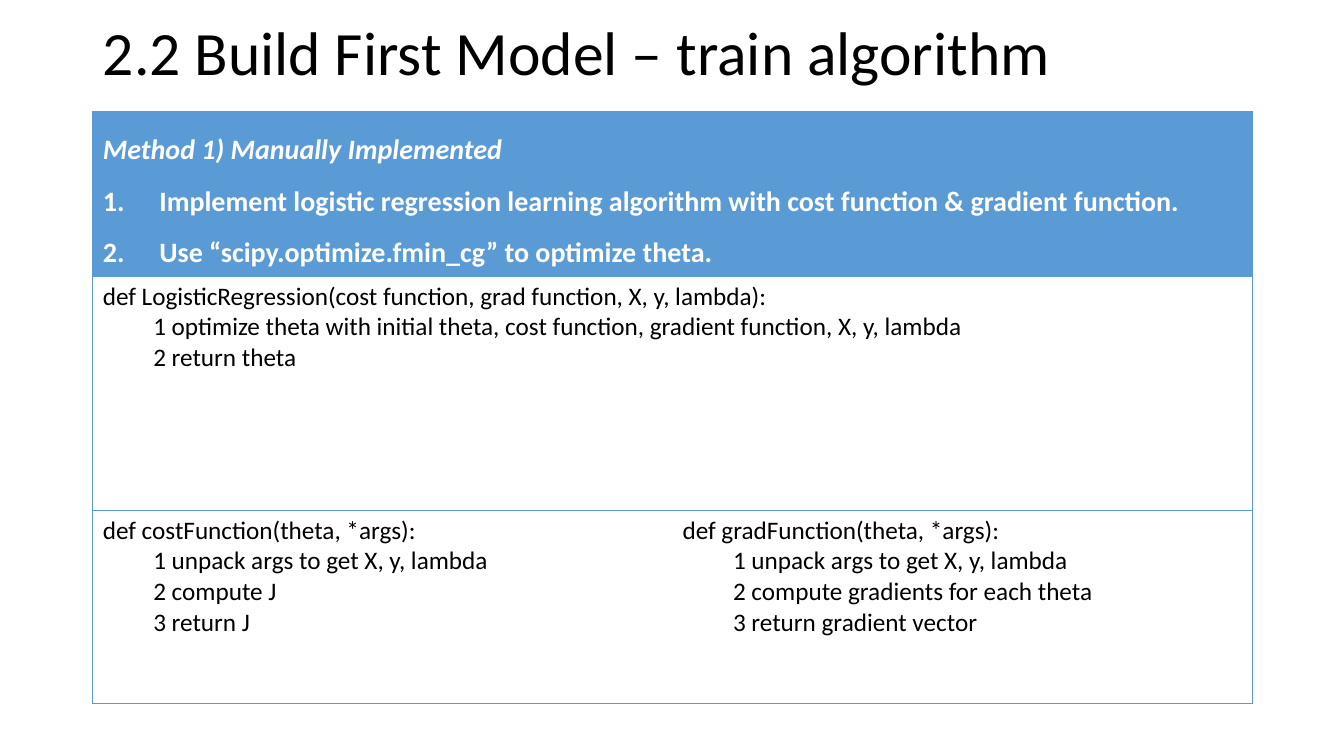
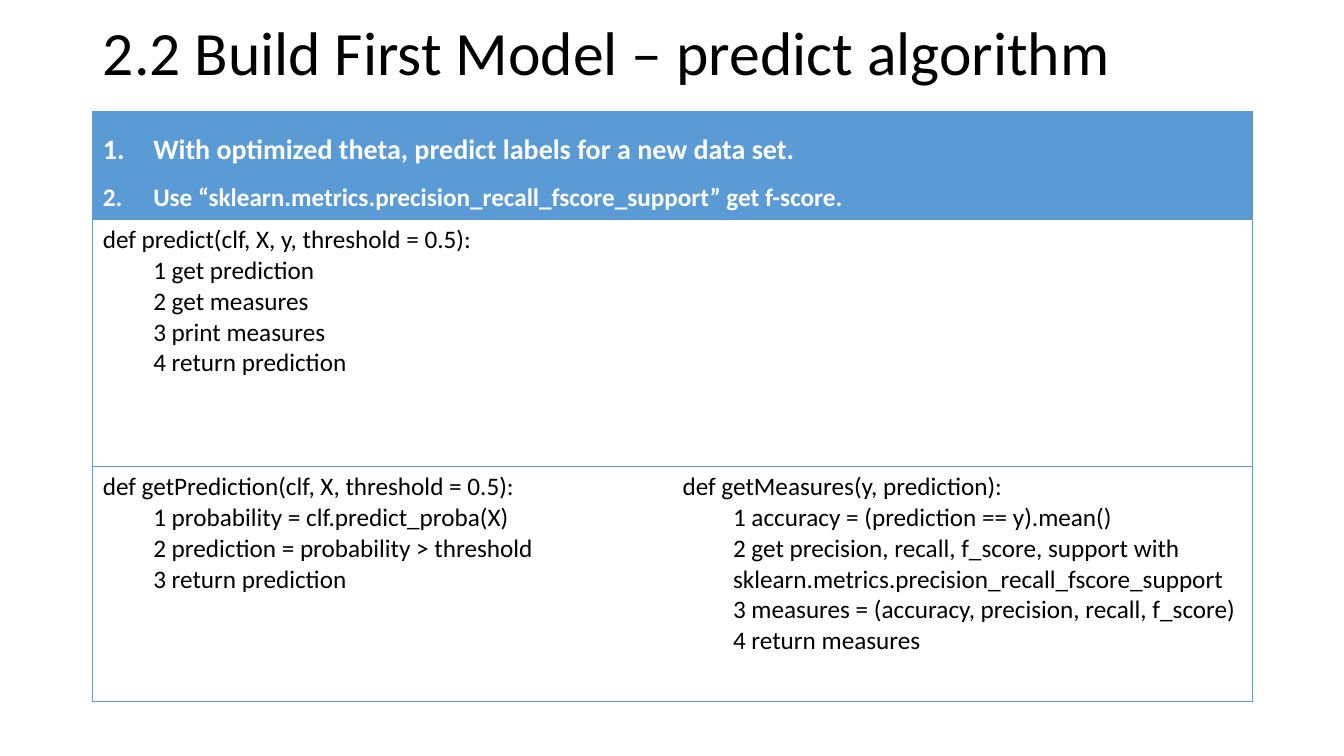
from lxml.etree import SubElement
from pptx import Presentation
from pptx.dml.color import RGBColor
from pptx.enum.text import MSO_ANCHOR, MSO_AUTO_SIZE, PP_ALIGN
from pptx.oxml.ns import qn
from pptx.util import Inches, Pt

FONT = "Calibri"
BLACK = RGBColor(0x00, 0x00, 0x00)
WHITE = RGBColor(0xFF, 0xFF, 0xFF)
BLUE = RGBColor(0x5B, 0x9B, 0xD5)

TITLE_BOX = (0.92, 0.14, 11.5, 0.82)
TABLE_BOX = (0.92, 1.1, 11.5)  # left, top, width
CODE_INDENT = 0.5
EDGES = ("L", "R", "T", "B")


def set_font(para, size, color, bold=False, italic=False):
    font = para.font
    font.name, font.size, font.bold, font.italic = FONT, Pt(size), bold, italic
    font.color.rgb = color


def set_indent(para, left, first=0, numbered=False):
    properties = para._p.get_or_add_pPr()
    properties.set("marL", str(Inches(left)))
    properties.set("indent", str(Inches(first)))
    if numbered:
        SubElement(properties, qn("a:buAutoNum"), type="arabicPeriod")


def set_borders(cell, visible):
    """Draw the visible edges in blue and hide the others."""
    properties = cell._tc.get_or_add_tcPr()
    for edge in EDGES:
        line = SubElement(properties, qn(f"a:ln{edge}"), w=str(Pt(0.5)))
        if edge in visible:
            fill = SubElement(line, qn("a:solidFill"))
            SubElement(fill, qn("a:srgbClr"), val=str(BLUE))
        else:
            SubElement(line, qn("a:noFill"))


def add_paragraphs(frame, lines):
    """Yield one paragraph for each line, starting with the existing one."""
    for index, line in enumerate(lines):
        para = frame.add_paragraph() if index else frame.paragraphs[0]
        para.text = line
        yield para


def add_title(page, box, text):
    title = page.shapes.title
    title.left, title.top, title.width, title.height = map(Inches, box)
    frame = title.text_frame
    frame.word_wrap = True
    frame.auto_size = MSO_AUTO_SIZE.NONE
    frame.vertical_anchor = MSO_ANCHOR.MIDDLE
    frame.text = text
    para = frame.paragraphs[0]
    para.alignment = PP_ALIGN.LEFT
    para.line_spacing = 0.9
    set_font(para, 44, BLACK)


def fill_header(cell, heading, steps, indent):
    """Optional italic heading, then numbered (text, size) steps."""
    lines = [(heading, 20)] if heading else []
    lines += steps
    paras = add_paragraphs(cell.text_frame, [text for text, _ in lines])
    for para, (text, size) in zip(paras, lines):
        is_heading = text == heading
        para.line_spacing = 1.5
        if not is_heading:
            set_indent(para, indent, -indent, numbered=True)
        set_font(para, size, WHITE, bold=True, italic=is_heading)


def fill_code(cell, lines):
    """Function signature, then its indented steps."""
    for index, para in enumerate(add_paragraphs(cell.text_frame, lines)):
        if index:
            para.level = 1
            set_indent(para, CODE_INDENT)
        set_font(para, 18, BLACK)


def add_code_table(page, box, heights, header, main, helpers):
    left, top, width = box
    table = page.shapes.add_table(
        len(heights), len(helpers), Inches(left), Inches(top),
        Inches(width), Inches(sum(heights))).table
    table.first_row = table.horz_banding = False
    for column in table.columns:
        column.width = Inches(width / len(helpers))
    for row, height in zip(table.rows, heights):
        row.height = Inches(height)

    # Borders and fills: only the helper row has a hidden inner edge
    helper_edges = ("LTB", "RTB")
    for row_index, row in enumerate(table.rows):
        for cell, edges in zip(row.cells, helper_edges):
            set_borders(cell, edges if row_index == 2 else "LRTB")
            if row_index == 0:
                cell.fill.solid()
                cell.fill.fore_color.rgb = BLUE
            else:
                cell.fill.background()

    # The header and the main function span the full width
    for row_index in (0, 1):
        table.cell(row_index, 0).merge(table.cell(row_index, 1))
    fill_header(table.cell(0, 0), **header)
    fill_code(table.cell(1, 0), main)
    for index, helper in enumerate(helpers):
        fill_code(table.cell(2, index), helper)


def add_algorithm_slide(deck, title, **table_content):
    page = deck.slides.add_slide(deck.slide_layouts[5])
    add_title(page, TITLE_BOX, title)
    add_code_table(page, TABLE_BOX, **table_content)


def main():
    deck = Presentation()
    deck.slide_width, deck.slide_height = Inches(13.33), Inches(7.5)

    add_algorithm_slide(
        deck, "2.2 Build First Model – train algorithm",
        heights=(1.64, 2.32, 1.92),
        header={
            "heading": "Method 1) Manually Implemented",
            "steps": [
                ("Implement logistic regression learning algorithm with "
                 "cost function & gradient function.", 20),
                ("Use “scipy.optimize.fmin_cg” to optimize theta.", 20),
            ],
            "indent": 0.56,
        },
        main=[
            "def LogisticRegression(cost function, grad function, X, y, lambda):",
            "1 optimize theta with initial theta, cost function, "
            "gradient function, X, y, lambda",
            "2 return theta",
        ],
        helpers=[
            ["def costFunction(theta, *args):",
             "1 unpack args to get X, y, lambda",
             "2 compute J",
             "3 return J"],
            ["def gradFunction(theta, *args):",
             "1 unpack args to get X, y, lambda",
             "2 compute gradients for each theta",
             "3 return gradient vector"],
        ])

    add_algorithm_slide(
        deck, "2.2 Build First Model – predict algorithm",
        heights=(1.08, 2.45, 2.33),
        header={
            "heading": None,
            "steps": [
                ("With optimized theta, predict labels for a new data set.", 20),
                ("Use “sklearn.metrics.precision_recall_fscore_support” "
                 "get f-score.", 18),
            ],
            "indent": 0.5,
        },
        main=[
            "def predict(clf, X, y, threshold = 0.5):",
            "1 get prediction",
            "2 get measures",
            "3 print measures",
            "4 return prediction",
        ],
        helpers=[
            ["def getPrediction(clf, X, threshold = 0.5):",
             "1 probability = clf.predict_proba(X)",
             "2 prediction = probability > threshold",
             "3 return prediction"],
            ["def getMeasures(y, prediction):",
             "1 accuracy = (prediction == y).mean()",
             "2 get precision, recall, f_score, support with "
             "sklearn.metrics.precision_recall_fscore_support",
             "3 measures = (accuracy, precision, recall, f_score)",
             "4 return measures"],
        ])

    deck.save("out.pptx")


if __name__ == "__main__":
    main()
